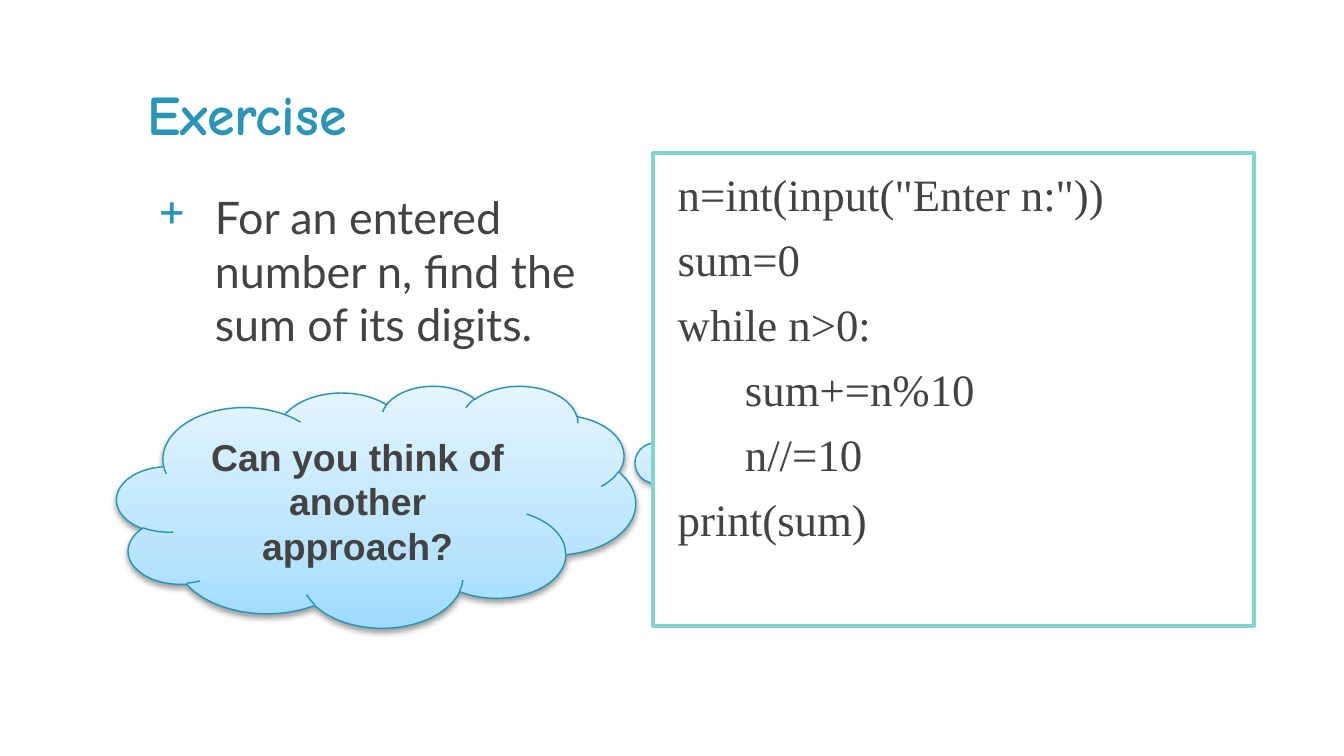
from dataclasses import dataclass

from lxml import etree
from pptx import Presentation
from pptx.dml.color import RGBColor
from pptx.enum.shapes import MSO_SHAPE
from pptx.enum.text import MSO_ANCHOR, PP_ALIGN
from pptx.oxml import parse_xml
from pptx.oxml.ns import nsdecls, qn
from pptx.util import Pt

TOP, MIDDLE = MSO_ANCHOR.TOP, MSO_ANCHOR.MIDDLE
LEFT, CENTER = PP_ALIGN.LEFT, PP_ALIGN.CENTER
CLOUD, RECT = MSO_SHAPE.CLOUD_CALLOUT, MSO_SHAPE.RECTANGLE
TITLE_ONLY = 5

COLORS = {
    "accent": "2A95B7",
    "text": "434343",
    "cloud_line": "2693B6",
    "code_line": "80D5CC",
    "white": "FFFFFF",
    "shadow": "000000",
}
CLOUD_STOPS = {0: "9EDBFF", 35: "BBE5FE", 100: "E5F5FF"}

CODE = [
    'n=int(input("Enter n:"))',
    "sum=0",
    "while n>0:",
    "\tsum+=n%10",
    "\tn//=10",
    "print(sum)",
]


@dataclass
class Box:
    left: float
    top: float
    width: float
    height: float

    def emu(self) -> list:
        return [Pt(v) for v in (self.left, self.top, self.width, self.height)]


@dataclass
class TextStyle:
    font: str
    size: float
    color: str = "text"
    bold: bool = False
    align: PP_ALIGN = LEFT
    anchor: MSO_ANCHOR = TOP
    inset_x: float = 7.2
    inset_y: float = 7.2
    before: float = 0
    line_height: float = 0
    margin: float = 0
    indent: float = 0


TITLE = TextStyle("Comic Neue", 30, "accent", bold=True)
TASK = TextStyle("Lato", 24, before=6, margin=36, indent=-30)
THOUGHT = TextStyle("Arial", 20, bold=True, align=CENTER, anchor=MIDDLE, inset_y=3.6)
LISTING = TextStyle("Times New Roman", 24, before=6, line_height=28.8, margin=6)


def rgb(name: str) -> RGBColor:
    return RGBColor.from_string(COLORS[name])


def set_attrs(obj, values: dict) -> None:
    for name, value in values.items():
        setattr(obj, name, value)


def write(sp, lines: list[str], style: TextStyle) -> None:
    tf = sp.text_frame
    set_attrs(tf, {
        "word_wrap": True,
        "vertical_anchor": style.anchor,
        "margin_left": Pt(style.inset_x),
        "margin_right": Pt(style.inset_x),
        "margin_top": Pt(style.inset_y),
        "margin_bottom": Pt(style.inset_y),
    })
    for i, line in enumerate(lines):
        p = tf.add_paragraph() if i else tf.paragraphs[0]
        set_attrs(p, {"alignment": style.align, "space_before": Pt(style.before)})
        if style.line_height:
            p.line_spacing = Pt(style.line_height)
        pPr = p._p.get_or_add_pPr()
        pPr.set("marL", str(Pt(style.margin)))
        pPr.set("indent", str(Pt(style.indent)))
        r = p.add_run()
        r.text = line
        set_attrs(r.font, {"name": style.font, "size": Pt(style.size), "bold": style.bold})
        r.font.color.rgb = rgb(style.color)


def add_bullet(p, char: str, color: str) -> None:
    pPr = p._p.get_or_add_pPr()
    clr = etree.SubElement(pPr, qn("a:buClr"))
    etree.SubElement(clr, qn("a:srgbClr")).set("val", COLORS[color])
    etree.SubElement(pPr, qn("a:buChar")).set("char", char)


def add_outlined(s, kind: MSO_SHAPE, box: Box, line: str, width: float):
    sp = s.shapes.add_shape(kind, *box.emu())
    sp.shadow.inherit = False
    sp.line.color.rgb = rgb(line)
    sp.line.width = Pt(width)
    return sp


def shade_cloud(sp) -> None:
    """Give the cloud its upward gradient and its soft shadow below."""
    spPr = sp._element.spPr
    stops = "".join(
        f'<a:gs pos="{pos * 1000}"><a:srgbClr val="{color}"/></a:gs>'
        for pos, color in CLOUD_STOPS.items()
    )
    spPr.find(qn("a:prstGeom")).addnext(parse_xml(
        f'<a:gradFill {nsdecls("a")} rotWithShape="1"><a:gsLst>{stops}</a:gsLst>'
        '<a:lin ang="16200000" scaled="0"/></a:gradFill>'
    ))
    spPr.find(qn("a:effectLst")).append(parse_xml(
        f'<a:outerShdw {nsdecls("a")} blurRad="{Pt(3.1)}" dist="{Pt(1.6)}" '
        f'dir="5400000" rotWithShape="0"><a:srgbClr val="{COLORS["shadow"]}">'
        '<a:alpha val="38000"/></a:srgbClr></a:outerShdw>'
    ))


def main() -> None:
    prs = Presentation()
    set_attrs(prs, {"slide_width": Pt(720), "slide_height": Pt(405)})
    s = prs.slides.add_slide(prs.slide_layouts[TITLE_ONLY])

    title = s.shapes.title
    set_attrs(title, dict(zip(("left", "top", "width", "height"),
                              Box(72, 35.3, 553, 59).emu())))
    write(title, ["Exercise"], TITLE)

    task = s.shapes.add_textbox(*Box(72, 94.3, 282.2, 270).emu())
    write(task, ["For an entered number n, find the sum of its digits."], TASK)
    add_bullet(task.text_frame.paragraphs[0], "+", "accent")

    cloud = add_outlined(s, CLOUD, Box(62.6, 206.6, 277.9, 129.6), "cloud_line", 0.75)
    cloud.adjustments[0] = 0.69
    cloud.adjustments[1] = -0.23
    shade_cloud(cloud)
    write(cloud, ["Can you think of another approach?"], THOUGHT)

    code = add_outlined(s, RECT, Box(350, 82.1, 321.8, 253.4), "code_line", 2)
    code.fill.solid()
    code.fill.fore_color.rgb = rgb("white")
    write(code, CODE, LISTING)

    prs.save("out.pptx")


if __name__ == "__main__":
    main()
